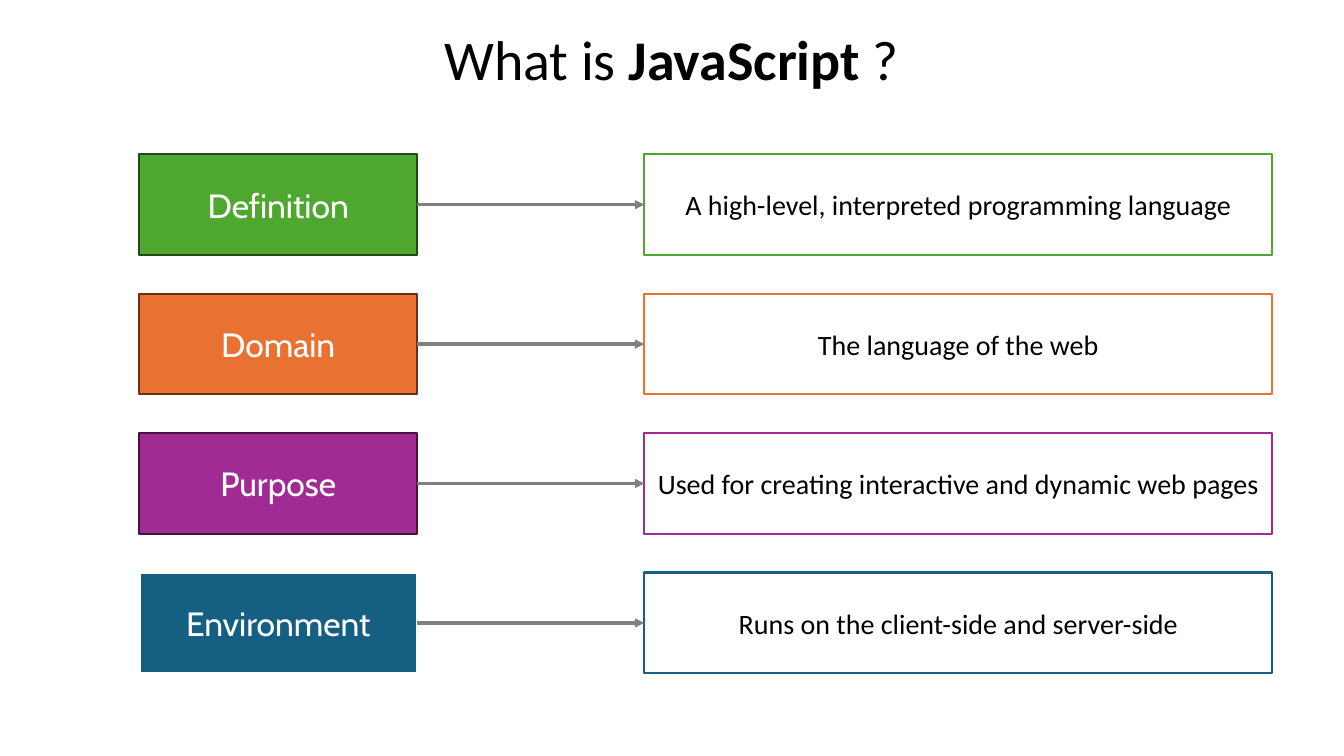
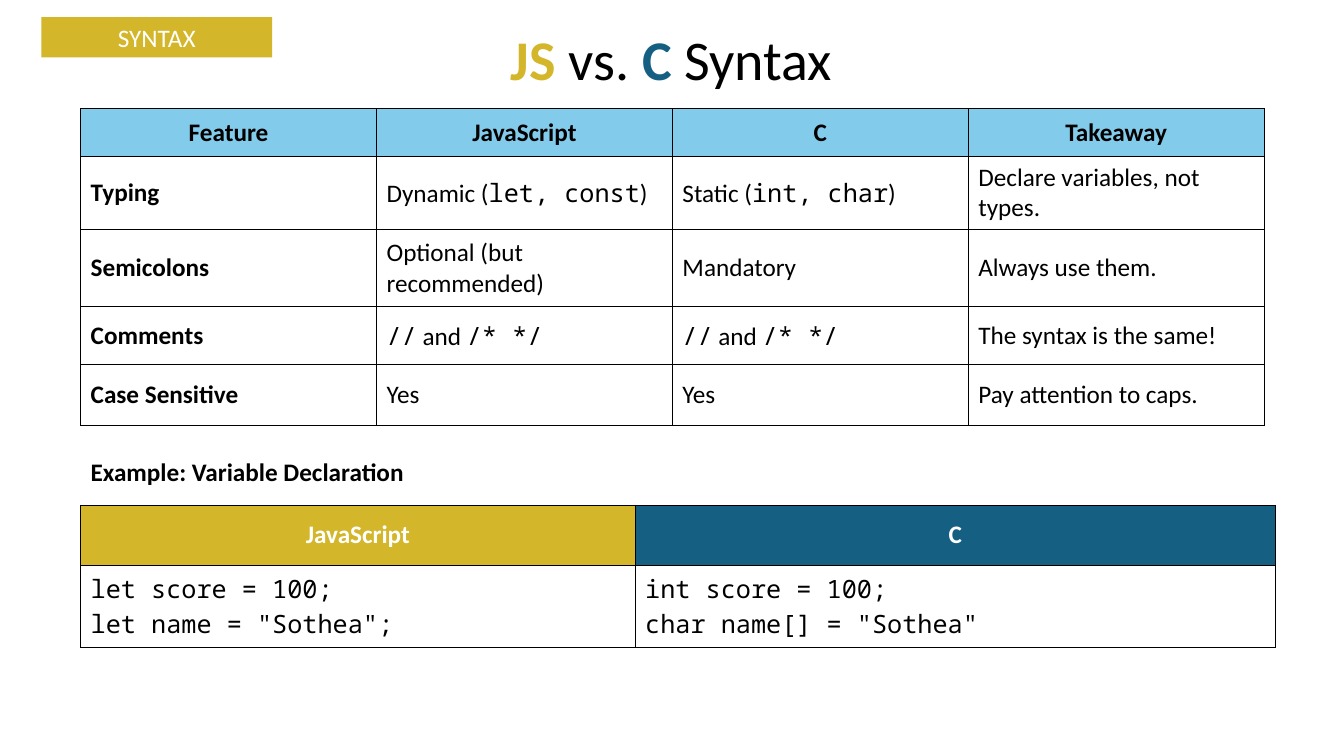
from lxml import etree
from pptx import Presentation, util as u
from pptx.dml.color import RGBColor
from pptx.enum import shapes, text
from pptx.oxml import ns

WIDTH, HEIGHT = 13.33, 7.5
COLORS = {
    "black": "000000", "white": "FFFFFF", "gray": "808080",
    "green": "4EA72E", "dark_green": "224914",
    "orange": "E97132", "dark_orange": "663216",
    "purple": "A02B93", "dark_purple": "461340",
    "blue": "156082", "gold": "D3B62A", "sky": "83CBEB",
}
SANS, LABEL, MONO = "Calibri", "Cabin", "Noto Sans Mono"
LEFT, CENTER = text.PP_ALIGN.LEFT, text.PP_ALIGN.CENTER
MIDDLE = text.MSO_ANCHOR.MIDDLE

TITLE_AREA = (3.83, 0.19, 5.66, 0.77)
TABLE_LEFT = 0.06 * WIDTH

# Topic, statement, colour, outline colour, outline width
FACTS = [
    ("Definition", "A high-level, interpreted programming language", "green", "dark_green", 1.5),
    ("Domain", "The language of the web", "orange", "dark_orange", 1.5),
    ("Purpose", "Used for creating interactive and dynamic web pages", "purple", "dark_purple", 1.5),
    ("Environment", "Runs on the client-side and server-side", "blue", "white", 2),
]

# Backticks enclose code
FEATURES = [
    ["Feature", "JavaScript", "C", "Takeaway"],
    ["Typing", "Dynamic (`let, const`)", "Static (`int, char`)", "Declare variables, not types."],
    ["Semicolons", "Optional (but recommended)", "Mandatory", "Always use them."],
    ["Comments", "`//` and `/* */`", "`//` and `/* */`", "The syntax is the same!"],
    ["Case Sensitive", "Yes", "Yes", "Pay attention to caps."],
]
DECLARATIONS = [
    ["JavaScript", "C"],
    ['`let score = 100;`\n`let name = "Sothea";`', '`int score = 100;`\n`char name[] = "Sothea"`'],
]


def rgb(name):
    return RGBColor.from_string(COLORS[name])


def inches(*lengths):
    return [u.Inches(length) for length in lengths]


def add_span(para, words, size=18, font=SANS, color="black", bold=False):
    span = para.add_run()
    span.text = words
    span.font.size = u.Pt(size)
    span.font.name = font
    span.font.bold = bold
    span.font.color.rgb = rgb(color)


def add_title(page, *parts):
    """Each part is (words, colour, bold)."""
    title = page.shapes.title
    title.left, title.top, title.width, title.height = inches(*TITLE_AREA)
    frame = title.text_frame
    frame.word_wrap = True
    frame.auto_size = text.MSO_AUTO_SIZE.NONE
    frame.vertical_anchor = MIDDLE
    para = frame.paragraphs[0]
    para.alignment = CENTER
    for words, color, bold in parts:
        add_span(para, words, 40, color=color, bold=bold)


def add_box(page, area, words, fill, line=None, line_width=1.5, **style):
    box = page.shapes.add_shape(shapes.MSO_SHAPE.RECTANGLE, *inches(*area))
    box.shadow.inherit = False
    box.fill.solid()
    box.fill.fore_color.rgb = rgb(fill)
    if line:
        box.line.color.rgb = rgb(line)
        box.line.width = u.Pt(line_width)
    else:
        box.line.fill.background()
    frame = box.text_frame
    frame.word_wrap = True
    frame.vertical_anchor = MIDDLE
    frame.paragraphs[0].alignment = CENTER
    add_span(frame.paragraphs[0], words, **style)
    return box


def add_arrow(page, start, end):
    """Join the right side of one box to the left side of another."""
    arrow = page.shapes.add_connector(shapes.MSO_CONNECTOR.STRAIGHT, 0, 0, 0, 0)
    arrow.begin_connect(start, 3)
    arrow.end_connect(end, 1)
    arrow.line.color.rgb = rgb("gray")
    arrow.line.width = u.Pt(2.25)
    etree.SubElement(arrow.line._get_or_add_ln(), ns.qn("a:tailEnd"), type="triangle")
    etree.SubElement(arrow._element.spPr, ns.qn("a:effectLst"))


def add_label(page, area, words, **style):
    box = page.shapes.add_textbox(*inches(*area))
    box.text_frame.word_wrap = True
    add_span(box.text_frame.paragraphs[0], words, **style)


def add_borders(cell, width):
    props = cell._tc.get_or_add_tcPr()
    for index, side in enumerate(("lnL", "lnR", "lnT", "lnB")):
        border = etree.Element(ns.qn(f"a:{side}"), w=str(u.Pt(width)))
        fill = etree.SubElement(border, ns.qn("a:solidFill"))
        etree.SubElement(fill, ns.qn("a:srgbClr"), val=COLORS["black"])
        props.insert(index, border)


def fill_cell(cell, content, fill, align, border, color, bold):
    cell.vertical_anchor = MIDDLE
    if fill:
        cell.fill.solid()
        cell.fill.fore_color.rgb = rgb(fill)
    else:
        cell.fill.background()
    add_borders(cell, border)
    frame = cell.text_frame
    for number, line in enumerate(content.split("\n")):
        para = frame.add_paragraph() if number else frame.paragraphs[0]
        para.alignment = align
        for index, words in enumerate(line.split("`")):
            if words:
                add_span(para, words, font=MONO if index % 2 else SANS, color=color, bold=bold)


def add_table(page, top, widths, heights, rows, header_fills, header_color, border, bold_first=False):
    area = inches(TABLE_LEFT, top, sum(widths), sum(heights))
    table = page.shapes.add_table(len(rows), len(widths), *area).table
    table.first_row = table.horz_banding = False
    for column, width in zip(table.columns, widths):
        column.width = u.Inches(width)
    for r, (row, height) in enumerate(zip(rows, heights)):
        table.rows[r].height = u.Inches(height)
        for c, content in enumerate(row):
            if r == 0:
                look = (header_fills[c], CENTER, border, header_color, True)
            else:
                look = (None, LEFT, border, "black", bold_first and c == 0)
            fill_cell(table.cell(r, c), content, *look)


def add_definition_slide(page):
    add_title(page, ("What is ", "black", False), ("JavaScript", "black", True), (" ?", "black", False))
    first, last, height = 1.53, 5.68, 1
    pitch = (last - first) / (len(FACTS) - 1)
    for index, (topic, statement, color, outline, width) in enumerate(FACTS):
        top = first + index * pitch
        name = add_box(page, (1.38, top, 2.76, height), topic, color, outline, width,
                       size=24, font=LABEL, color="white")
        detail = add_box(page, (6.39, top, 6.23, height), statement, "white", color, size=20)
        add_arrow(page, name, detail)


def add_syntax_slide(page):
    add_box(page, (0.41, 0.17, 2.29, 0.4), "SYNTAX", "gold", color="white")
    add_title(page, ("JS ", "gold", True), ("vs. ", "black", False),
              ("C", "blue", True), (" Syntax", "black", False))
    add_table(page, 1.08, [11.74 / 4] * 4, [0.47, 0.73, 0.76, 0.58, 0.6], FEATURES,
              ["sky"] * 4, "black", 1, bold_first=True)
    add_label(page, (TABLE_LEFT, 4.48, WIDTH / 2, 0.4), "Example: Variable Declaration", bold=True)
    add_table(page, 5.01, [5.5, 6.35], [0.6, 0.81], DECLARATIONS,
              ["gold", "blue"], "white", 0.25)


def main():
    deck = Presentation()
    deck.slide_width, deck.slide_height = inches(WIDTH, HEIGHT)
    title_only = deck.slide_layouts[5]
    for build in (add_definition_slide, add_syntax_slide):
        build(deck.slides.add_slide(title_only))
    deck.save("out.pptx")


if __name__ == "__main__":
    main()
